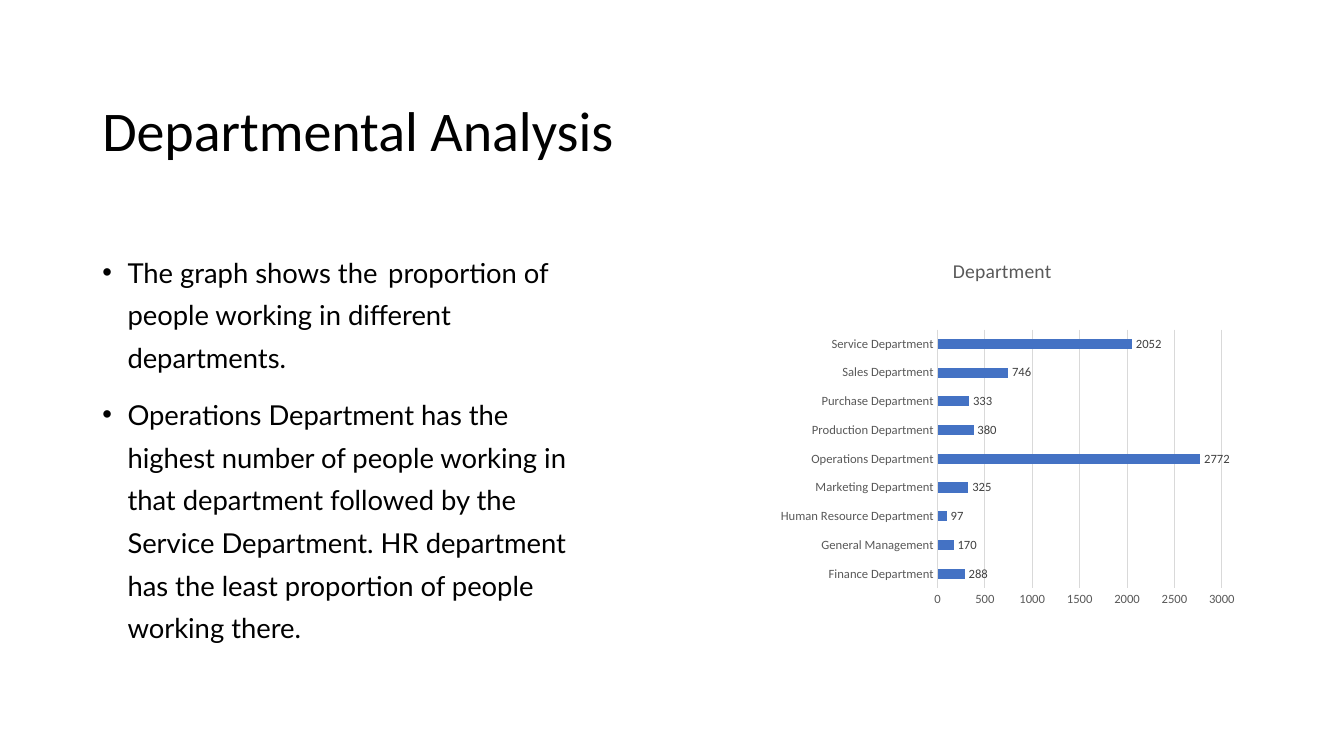
import pptx
import pptx.chart.data
import pptx.dml.color
import pptx.enum.chart
import pptx.enum.text
import pptx.util
from lxml import etree
from pptx.oxml.ns import qn

Pt = pptx.util.Pt
RGB = pptx.dml.color.RGBColor
XL = pptx.enum.chart

# Colours
BLACK = RGB(0x00, 0x00, 0x00)
WHITE = RGB(0xFF, 0xFF, 0xFF)
SLATE = RGB(0x84, 0x92, 0xA6)
GREY = RGB(0x59, 0x59, 0x59)
DARK = RGB(0x40, 0x40, 0x40)
RULE = RGB(0xD9, 0xD9, 0xD9)
BLUE = RGB(0x44, 0x72, 0xC4)

# Text formats
HEAD = {"name": "Calibri", "size": Pt(40), "color": BLACK}
BODY = {"name": "Lato", "size": Pt(19.6), "color": BLACK}
GAP = {"name": "Manrope", "size": Pt(12.6), "color": SLATE}
CHART = {"name": "Calibri", "size": Pt(10), "color": BLACK}
CHART_TITLE = {"name": "Calibri", "size": Pt(14), "bold": False, "color": GREY}
AXIS = {"name": "Calibri", "size": Pt(9), "color": GREY}
LABEL = {"name": "Calibri", "size": Pt(9), "color": DARK}

# Content
TITLE = [[("Departmental Analysis", HEAD)]]
BULLETS = [
    [("The graph shows the ", BODY), (" ", GAP),
     ("proportion of people working in different departments.", BODY)],
    [("Operations Department has the highest number of people working in that "
      "department followed by the Service Department. HR department has the "
      "least proportion of people working there.", BODY)],
]
DEPARTMENTS = {
    "Finance Department": 288,
    "General Management": 170,
    "Human Resource Department": 97,
    "Marketing Department": 325,
    "Operations Department": 2772,
    "Production Department": 380,
    "Purchase Department": 333,
    "Sales Department": 746,
    "Service Department": 2052,
}

# Places in points: left, top, width, height
TITLE_BOX = (66, 28.8, 828, 133.2)
BODY_BOX = (66, 172, 347, 314)
CHART_BOX = (537.8, 172, 356.4, 275.8)
PLOT = {"x": 0.37, "y": 0.23, "w": 0.57, "h": 0.67}


def style(font, fmt):
    for key, value in fmt.items():
        if key == "color":
            font.color.rgb = value
        else:
            setattr(font, key, value)


def add_text(s, box, paragraphs, anchor, spacing, before=0, bullet=None):
    tf = s.shapes.add_textbox(*map(Pt, box)).text_frame
    tf.word_wrap = True
    tf.vertical_anchor = anchor
    for i, runs in enumerate(paragraphs):
        p = tf.add_paragraph() if i else tf.paragraphs[0]
        p.line_spacing = spacing
        p.space_before = Pt(before)
        if bullet:
            pPr = p._p.get_or_add_pPr()
            pPr.set("marL", str(Pt(18)))
            pPr.set("indent", str(-Pt(18)))
            etree.SubElement(pPr, qn("a:buFont")).set("typeface", "Arial")
            etree.SubElement(pPr, qn("a:buChar")).set("char", bullet)
        for text, fmt in runs:
            r = p.add_run()
            r.text = text
            style(r.font, fmt)


def add_department_chart(s):
    data = pptx.chart.data.CategoryChartData()
    data.categories = list(DEPARTMENTS)
    data.add_series("Series 1", list(DEPARTMENTS.values()))
    chart = s.shapes.add_chart(
        XL.XL_CHART_TYPE.BAR_CLUSTERED, *map(Pt, CHART_BOX), data).chart
    style(chart.font, CHART)
    chart.has_legend = False
    chart.has_title = True
    p = chart.chart_title.text_frame.paragraphs[0]
    r = p.add_run()
    r.text = "Department"
    style(r.font, CHART_TITLE)

    # Bars and value labels
    plot = chart.plots[0]
    plot.gap_width = 182
    plot.vary_by_categories = False
    bars = plot.series[0]
    bars.format.fill.solid()
    bars.format.fill.fore_color.rgb = BLUE
    labels = bars.data_labels
    labels.show_value = True
    labels.position = XL.XL_LABEL_POSITION.OUTSIDE_END
    style(labels.font, LABEL)

    # Axes and gridlines
    cat, val = chart.category_axis, chart.value_axis
    for axis in (cat, val):
        axis.major_tick_mark = axis.minor_tick_mark = XL.XL_TICK_MARK.NONE
        style(axis.tick_labels.font, AXIS)
    val.minimum_scale, val.maximum_scale, val.major_unit = 0, 3000, 500
    val.has_major_gridlines = True
    val.format.line.fill.background()
    for line in (cat.format.line, val.major_gridlines.format.line):
        line.color.rgb = RULE
        line.width = Pt(0.75)

    # Fixed inner plot area
    area = chart._chartSpace.chart.plotArea
    for old in area.findall(qn("c:layout")):
        area.remove(old)
    layout = etree.Element(qn("c:layout"))
    area.insert(0, layout)
    manual = etree.SubElement(layout, qn("c:manualLayout"))
    settings = {"layoutTarget": "inner", "xMode": "edge", "yMode": "edge", **PLOT}
    for tag, value in settings.items():
        etree.SubElement(manual, qn("c:" + tag)).set("val", str(value))


def main():
    prs = pptx.Presentation()
    prs.slide_width, prs.slide_height = Pt(960), Pt(540)
    s = prs.slides.add_slide(prs.slide_layouts[6])
    s.background.fill.solid()
    s.background.fill.fore_color.rgb = WHITE
    anchors = pptx.enum.text.MSO_ANCHOR
    add_text(s, TITLE_BOX, TITLE, anchors.MIDDLE, 0.9)
    add_text(s, BODY_BOX, BULLETS, anchors.TOP, 1.3, before=10, bullet="•")
    add_department_chart(s)
    prs.save("out.pptx")


if __name__ == "__main__":
    main()
